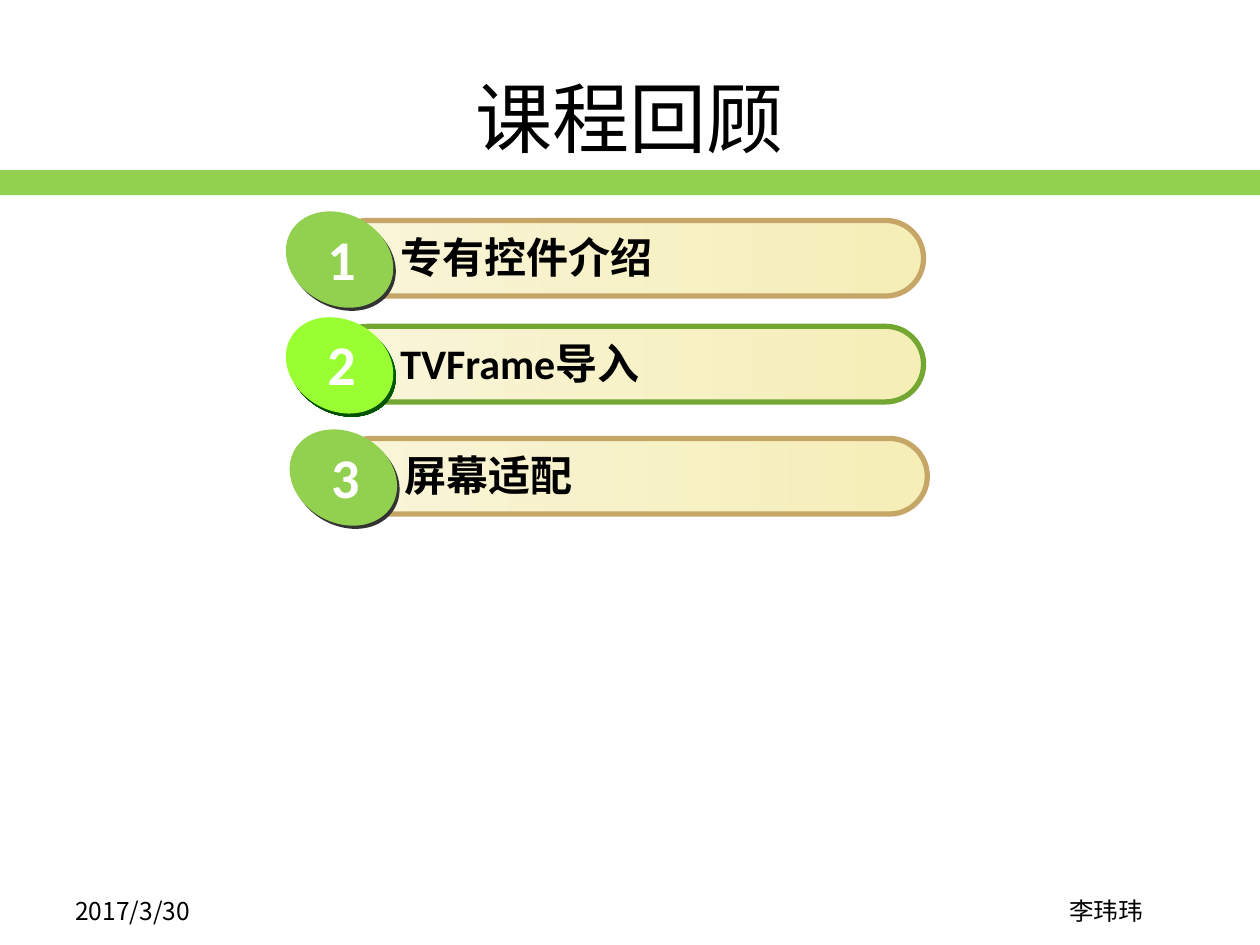
import lxml.etree
import pptx
import pptx.dml.color
import pptx.enum.shapes
import pptx.enum.text
import pptx.oxml.ns
import pptx.util
from pptx.util import Inches

BLACK = pptx.dml.color.RGBColor(0x00, 0x00, 0x00)
WHITE = pptx.dml.color.RGBColor(0xFF, 0xFF, 0xFF)
GREEN = pptx.dml.color.RGBColor(0x92, 0xD0, 0x50)
LIME = pptx.dml.color.RGBColor(0x99, 0xFF, 0x33)
OLIVE = pptx.dml.color.RGBColor(0x74, 0xA7, 0x31)
TAN = pptx.dml.color.RGBColor(0xC5, 0xA6, 0x67)
CHARCOAL = pptx.dml.color.RGBColor(0x33, 0x33, 0x33)
FOREST = pptx.dml.color.RGBColor(0x00, 0x66, 0x00)
DARK_FOREST = pptx.dml.color.RGBColor(0x00, 0x49, 0x00)
CREAM = pptx.dml.color.RGBColor(0xF9, 0xF5, 0xD9)
STRAW = pptx.dml.color.RGBColor(0xF5, 0xEE, 0xB7)

CJK_FONT = "Noto Sans CJK SC"
LATIN_FONT = "Calibri"
SHAPE = pptx.enum.shapes.MSO_SHAPE
ALIGN = pptx.enum.text.PP_ALIGN
ANCHOR = pptx.enum.text.MSO_ANCHOR


def write_text(box, text, size, font=CJK_FONT, color=BLACK, bold=False, align=ALIGN.LEFT):
    box.text_frame.text = text
    para = box.text_frame.paragraphs[0]
    para.alignment = align
    span = para.runs[0]
    span.font.size = pptx.util.Pt(size)
    span.font.bold = bold
    span.font.color.rgb = color
    span.font.name = font
    properties = span._r.get_or_add_rPr()
    east_asian = lxml.etree.SubElement(properties, pptx.oxml.ns.qn("a:ea"))
    east_asian.set("typeface", CJK_FONT)


def add_text(shapes, left, top, width, height, text, size, wrap=True, **style):
    box = shapes.add_textbox(Inches(left), Inches(top), Inches(width), Inches(height))
    box.text_frame.word_wrap = wrap
    write_text(box, text, size, **style)


def add_filled(shapes, kind, left, top, width, height, colors, angle=0):
    shape = shapes.add_shape(kind, Inches(left), Inches(top), Inches(width), Inches(height))
    shape.shadow.inherit = False
    shape.line.fill.background()
    if len(colors) == 1:
        shape.fill.solid()
        shape.fill.fore_color.rgb = colors[0]
    else:
        shape.fill.gradient()
        shape.fill.gradient_angle = angle
        for stop, color in zip(shape.fill.gradient_stops, colors):
            stop.color.rgb = color
    return shape


def add_header(page, left, top, width, height):
    add_filled(page.shapes, SHAPE.RECTANGLE, 0, top + 1.05, 10, 0.2, [GREEN])
    title = page.shapes.title
    title.left, title.top = Inches(left), Inches(top)
    title.width, title.height = Inches(width), Inches(height)
    title.text_frame.vertical_anchor = ANCHOR.MIDDLE
    write_text(title, "课程回顾", 44, align=ALIGN.CENTER)


def add_topic(page, left, top, number, text, border, badge, shade):
    shapes = page.shapes.add_group_shape().shapes
    bar = add_filled(shapes, SHAPE.ROUNDED_RECTANGLE, left + 0.37, top + 0.05,
                     4.71, 0.6, [CREAM, STRAW])
    bar.adjustments[0] = 0.5
    bar.line.color.rgb = border
    bar.line.width = pptx.util.Pt(3)
    add_text(shapes, left + 0.83, top + 0.09, 3.75, 0.51, text, 24,
             font=LATIN_FONT, bold=True)
    for offset, colors in ((0.02, shade), (0, [badge])):
        oval = add_filled(shapes, SHAPE.OVAL, left + offset, top + offset * 1.25,
                          0.89, 0.72, colors, angle=270)
        oval.rotation = 29.3
    add_text(shapes, left + 0.25, top + 0.03, 0.45, 0.63, str(number), 32,
             wrap=False, font=LATIN_FONT, color=WHITE, bold=True)


def add_footer(page, left, top, width, height):
    add_text(page.shapes, left, top, 1.43, height, "2017/3/30", 14)
    add_text(page.shapes, left + width - 0.94, top, 0.94, height, "李玮玮", 14,
             align=ALIGN.CENTER)


def main():
    deck = pptx.Presentation()
    deck.slide_width, deck.slide_height = Inches(10), Inches(7.5)
    page = deck.slides.add_slide(deck.slide_layouts[5])
    add_footer(page, 0.5, 7.06, 8.75, 0.34)
    add_header(page, 0.5, 0.3, 9, 1.25)
    topics = (
        (2.25, 1.7, "专有控件介绍", TAN, GREEN, [CHARCOAL]),
        (2.25, 2.54, "TVFrame导入", OLIVE, LIME, [FOREST, DARK_FOREST]),
        (2.28, 3.43, "屏幕适配", TAN, GREEN, [CHARCOAL]),
    )
    for number, (left, top, *details) in enumerate(topics, start=1):
        add_topic(page, left, top, number, *details)
    deck.save("out.pptx")


if __name__ == "__main__":
    main()
